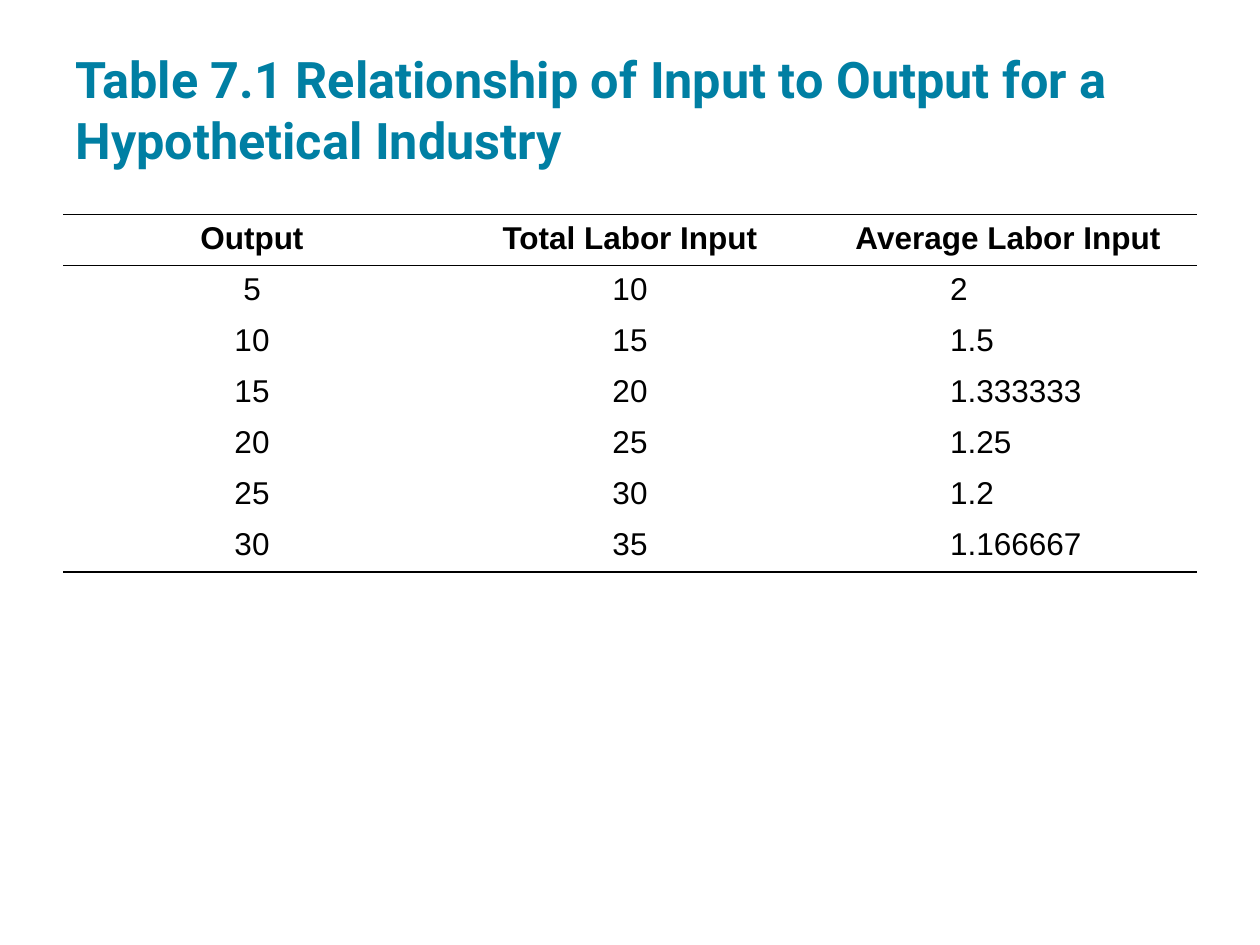
from pptx import Presentation
from pptx.dml.color import RGBColor
from pptx.enum.text import MSO_ANCHOR, MSO_AUTO_SIZE, PP_ALIGN
from pptx.oxml.ns import qn
from pptx.util import Cm, Pt
from lxml import etree

LEFT, CENTER = PP_ALIGN.LEFT, PP_ALIGN.CENTER
BOTTOM, NO_FIT = MSO_ANCHOR.BOTTOM, MSO_AUTO_SIZE.NONE
TEAL = RGBColor(0x00, 0x7F, 0xA3)
BLACK = RGBColor(0x00, 0x00, 0x00)

TITLE = "Table 7.1 Relationship of Input to Output for a Hypothetical Industry"
HEADINGS = ["Output", "Total Labor Input", "Average Labor Input"]
LABOR_ROWS = [
    ["5", "10", "2"],
    ["10", "15", "1.5"],
    ["15", "20", "1.333333"],
    ["20", "25", "1.25"],
    ["25", "30", "1.2"],
    ["30", "35", "1.166667"],
]
AVERAGE_COLUMN = 2
AVERAGE_INDENT = Cm(2.39)


def add_span(para, text, font_name, size, color, bold):
    span = para.add_run()
    span.text = text
    span.font.name = font_name
    span.font.size = Pt(size)
    span.font.bold = bold
    span.font.color.rgb = color


def place_title(page, left, top, width, height):
    title = page.shapes.title
    title.left, title.top, title.width, title.height = left, top, width, height
    frame = title.text_frame
    frame.auto_size = NO_FIT
    frame.word_wrap = True
    frame.vertical_anchor = BOTTOM
    frame.margin_left = frame.margin_right = Cm(0.25)
    frame.margin_top = frame.margin_bottom = Cm(0.25)
    para = frame.paragraphs[0]
    para.alignment = LEFT
    add_span(para, TITLE, "Roboto", 28.8, TEAL, True)


def set_borders(cell, ruled_sides):
    properties = cell._tc.get_or_add_tcPr()
    for position, side in enumerate("LRTB"):
        line = etree.Element(qn("a:ln" + side), w=str(Pt(1)))
        if side in ruled_sides:
            fill = etree.SubElement(line, qn("a:solidFill"))
            etree.SubElement(fill, qn("a:srgbClr"), val=str(BLACK))
        else:
            etree.SubElement(line, qn("a:noFill"))
        properties.insert(position, line)


def place_labor_table(page, left, top, width, height):
    rows = [HEADINGS] + LABOR_ROWS
    table = page.shapes.add_table(
        len(rows), len(HEADINGS), left, top, width, height
    ).table
    table.first_row = table.horz_banding = False
    ruled_sides = {0: "TB", 1: "T", len(rows) - 1: "B"}
    for row_index, values in enumerate(rows):
        heading = row_index == 0
        for column_index, value in enumerate(values):
            cell = table.cell(row_index, column_index)
            cell.fill.background()
            set_borders(cell, ruled_sides.get(row_index, ""))
            para = cell.text_frame.paragraphs[0]
            if column_index == AVERAGE_COLUMN and not heading:
                para.alignment = LEFT
                para._p.get_or_add_pPr().set("marL", str(AVERAGE_INDENT))
            else:
                para.alignment = CENTER
            add_span(para, value, "Arial", 18, BLACK, heading)


def main():
    deck = Presentation()
    deck.slide_width, deck.slide_height = Cm(25.4), Cm(19.05)
    page = deck.slides.add_slide(deck.slide_layouts[5])
    margin = Cm(1.27)
    content_width = deck.slide_width - 2 * margin
    place_title(page, margin, Cm(0.61), content_width, Cm(3.05))
    place_labor_table(page, margin, Cm(4.32), content_width, Cm(7.21))
    deck.save("out.pptx")


if __name__ == "__main__":
    main()
